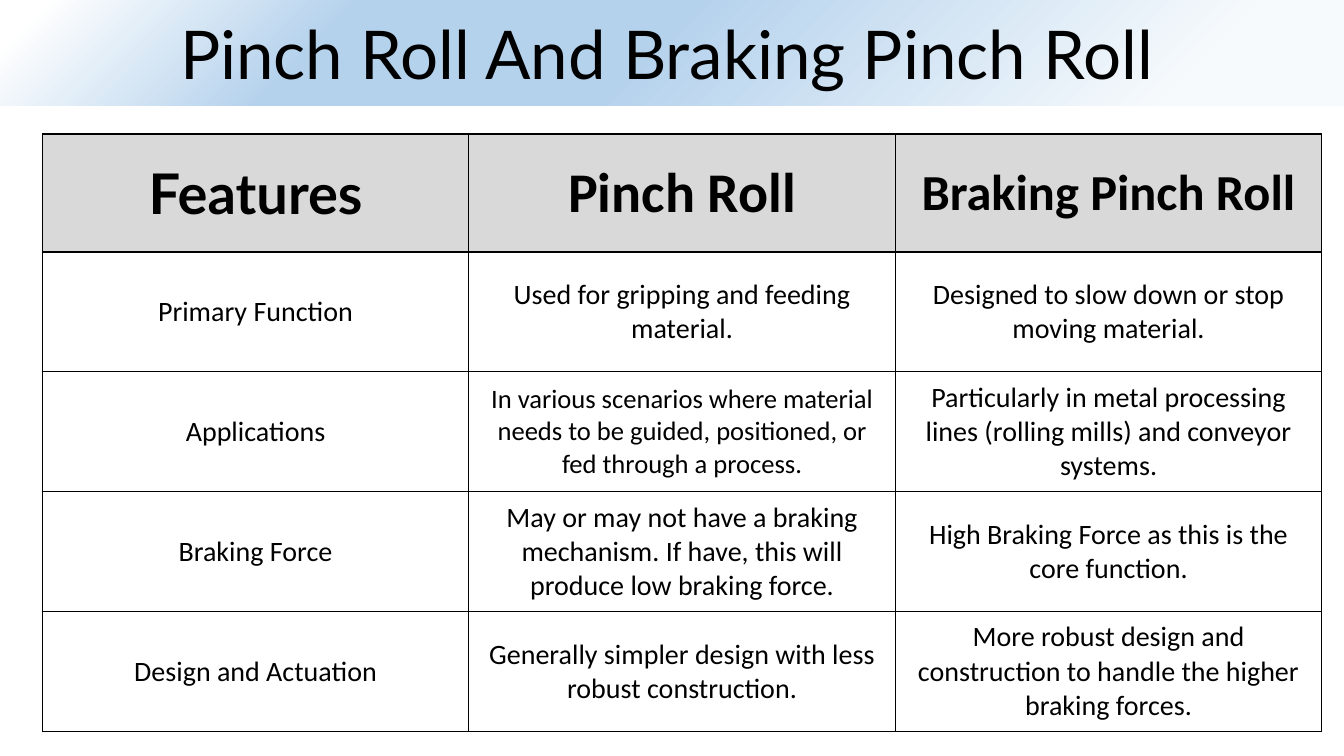
from dataclasses import dataclass

from lxml import etree
from pptx import Presentation
from pptx import util as u
from pptx.dml.color import RGBColor
from pptx.enum import shapes, text
from pptx.oxml import ns

TITLE = "Pinch Roll And Braking Pinch Roll"
HEADS = ["Features", "Pinch Roll", "Braking Pinch Roll"]
ROWS = [
    ["Primary Function",
     "Used for gripping and feeding material.",
     "Designed to slow down or stop moving material."],
    ["Applications",
     "In various scenarios where material needs to be guided, positioned, "
     "or fed through a process.",
     "Particularly in metal processing lines (rolling mills) and conveyor systems."],
    ["Braking Force",
     "May or may not have a braking mechanism. If have, this will produce "
     "low braking force.",
     "High Braking Force as this is the core function."],
    ["Design and Actuation",
     "Generally simpler design with less robust construction.",
     "More robust design and construction to handle the higher braking forces."],
]


@dataclass(frozen=True)
class Theme:
    ink: str = "000000"
    head: str = "D9D9D9"
    body: str = "FFFFFF"
    glow: tuple = ((12, "F7FAFD"), (52, "B5D2EC"), (75, "B5D2EC"), (97, "FFFFFF"))
    face: str = "Calibri"
    accent: str = "Lato"
    title_pt: int = 48
    head_pts: tuple = (40, 40, 36)
    body_pt: int = 20
    tight_pt: int = 19


T = Theme()
WIDE, HIGH = 13.33, 7.5
BAR = 0.14 * HIGH
LEFT, TOP, COL = 0.42, 1.33, 4.23
HEAD_H, ROW_H = 1.17, 1.19
TIGHT = (2, 1)  # row and column of the longest cell text


def write(frame, words, **look):
    para = frame.paragraphs[0]
    para.alignment = text.PP_ALIGN.CENTER
    run = para.add_run()
    run.text = words
    for name, value in look.items():
        setattr(run.font, name, value)
    run.font.color.rgb = RGBColor.from_string(T.ink)


def node(parent, tag, **attrs):
    return etree.SubElement(parent, ns.qn("a:" + tag), attrs)


def glow(shape):
    """Fill the shape with a round gradient centred on its lower right corner."""
    shape.fill.background()
    blank = shape._element.spPr.find(ns.qn("a:noFill"))
    grad = etree.Element(ns.qn("a:gradFill"), rotWithShape="1")
    stops = node(grad, "gsLst")
    for share, color in T.glow:
        node(node(stops, "gs", pos=str(share * 1000)), "srgbClr", val=color)
    node(node(grad, "path", path="circle"), "fillToRect", l="100000", t="100000")
    blank.getparent().replace(blank, grad)


def border(cell):
    props = cell._tc.get_or_add_tcPr()
    for at, side in enumerate(("lnL", "lnR", "lnT", "lnB")):
        line = etree.Element(ns.qn("a:" + side), w=str(u.Pt(1)))
        node(node(line, "solidFill"), "srgbClr", val=T.ink)
        props.insert(at, line)


def add_title(slide):
    bar = slide.shapes.add_shape(
        shapes.MSO_SHAPE.RECTANGLE, 0, 0, u.Inches(WIDE), u.Inches(BAR))
    bar.shadow.inherit = False
    bar.line.fill.background()
    glow(bar)
    frame = bar.text_frame
    frame.word_wrap = True
    frame.vertical_anchor = text.MSO_ANCHOR.MIDDLE
    frame.margin_right = u.Inches(0.2)
    write(frame, TITLE, size=u.Pt(T.title_pt), name=T.accent)


def add_grid(slide):
    cells = [HEADS] + ROWS
    highs = [HEAD_H] + [ROW_H] * len(ROWS)
    grid = slide.shapes.add_table(
        len(cells), len(HEADS), u.Inches(LEFT), u.Inches(TOP),
        u.Inches(COL * len(HEADS)), u.Inches(sum(highs))).table
    for col in grid.columns:
        col.width = u.Inches(COL)
    for r, line in enumerate(cells):
        grid.rows[r].height = u.Inches(highs[r])
        for c, words in enumerate(line):
            top = r == 0
            cell = grid.cell(r, c)
            cell.vertical_anchor = text.MSO_ANCHOR.MIDDLE
            cell.fill.solid()
            cell.fill.fore_color.rgb = RGBColor.from_string(T.head if top else T.body)
            border(cell)
            size = T.tight_pt if (r, c) == TIGHT else T.body_pt
            write(cell.text_frame, words, bold=top,
                  size=u.Pt(T.head_pts[c] if top else size),
                  name=T.accent if (r, c) == (0, 0) else T.face)


def main():
    deck = Presentation()
    deck.slide_width, deck.slide_height = u.Inches(WIDE), u.Inches(HIGH)
    slide = deck.slides.add_slide(deck.slide_layouts[6])
    add_title(slide)
    add_grid(slide)
    deck.save("out.pptx")


if __name__ == "__main__":
    main()
